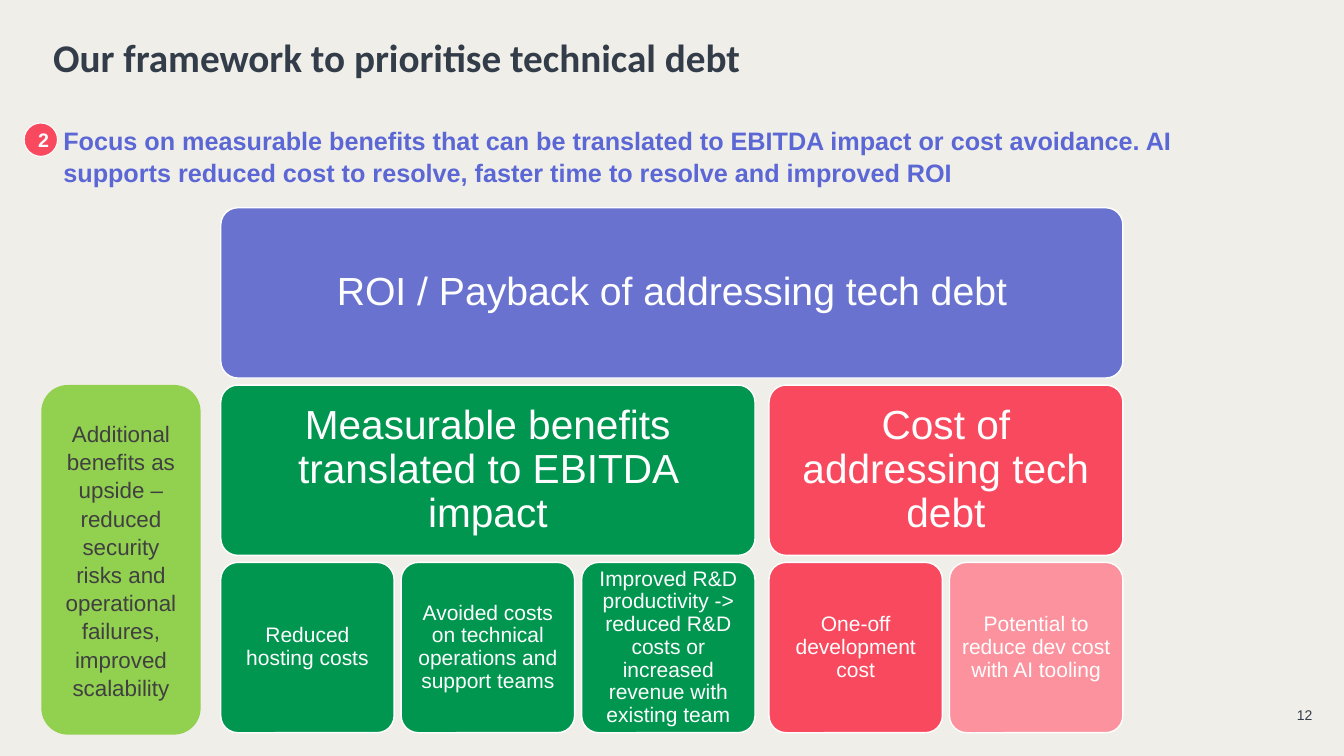
from pptx import Presentation
from pptx.dml.color import RGBColor
from pptx.enum.shapes import MSO_SHAPE
from pptx.enum.text import MSO_ANCHOR, PP_ALIGN
from pptx.util import Pt

ROUNDED, OVAL = MSO_SHAPE.ROUNDED_RECTANGLE, MSO_SHAPE.OVAL
TOP, MIDDLE, BOTTOM = MSO_ANCHOR.TOP, MSO_ANCHOR.MIDDLE, MSO_ANCHOR.BOTTOM
LEFT, CENTER, RIGHT = PP_ALIGN.LEFT, PP_ALIGN.CENTER, PP_ALIGN.RIGHT

COLORS = {
    "background": "F0EEE8", "ink": "333D49", "white": "FEFEFE",
    "violet": "6973CF", "message": "5B67D5", "green": "009650",
    "red": "F8495E", "pink": "FB929E", "lime": "92D050", "grey": "404040",
}

TITLE = "Our framework to prioritise technical debt"
MESSAGE = ("Focus on measurable benefits that can be translated to EBITDA impact or cost "
           "avoidance. AI supports reduced cost to resolve, faster time to resolve and "
           "improved ROI")
UPSIDE = ("Additional benefits as upside – reduced security risks and operational "
          "failures, improved scalability")
ROOT = "ROI / Payback of addressing tech debt"
# Each branch: text, colour, leaves of (text, colour)
BRANCHES = [
    ("Measurable benefits translated to EBITDA impact", "green", [
        ("Reduced hosting costs", "green"),
        ("Avoided costs on technical operations and support teams", "green"),
        ("Improved R&D productivity -> reduced R&D costs or increased revenue "
         "with existing team", "green"),
    ]),
    ("Cost of addressing tech debt", "red", [
        ("One-off development cost", "red"),
        ("Potential to reduce dev cost with AI tooling", "pink"),
    ]),
]


def color(name):
    return RGBColor.from_string(COLORS[name])


def write(shape, text, size, ink, align=CENTER, anchor=MIDDLE, bold=False,
          font="Arial", spacing=1.0, margins=(7.2, 3.6, 7.2, 3.6), wrap=True):
    frame = shape.text_frame
    frame.word_wrap = wrap
    frame.vertical_anchor = anchor
    (frame.margin_left, frame.margin_top,
     frame.margin_right, frame.margin_bottom) = map(Pt, margins)
    paragraph = frame.paragraphs[0]
    paragraph.alignment = align
    paragraph.line_spacing = spacing
    paragraph.space_before = Pt(0)
    run = paragraph.add_run()
    run.text = text
    run.font.name = font
    run.font.size = Pt(size)
    run.font.bold = bold
    run.font.color.rgb = color(ink)


def add_filled(slide, kind, box, fill, line_width=0):
    shape = slide.shapes.add_shape(kind, *map(Pt, box))
    shape.shadow.inherit = False
    shape.fill.solid()
    shape.fill.fore_color.rgb = color(fill)
    if line_width:
        shape.line.color.rgb = color("white")
        shape.line.width = Pt(line_width)
    else:
        shape.line.fill.background()
    return shape


def add_title(slide, box):
    title = slide.shapes.title
    title.left, title.top, title.width, title.height = map(Pt, box)
    write(title, TITLE, 28, "ink", LEFT, bold=True, font="Calibri",
          spacing=1.05, margins=(0, 0, 0, 0))


def add_message(slide, box):
    left, top, width, height = box
    badge_size = 23.8
    badge = add_filled(slide, OVAL, (left, top + 2.9, badge_size, badge_size), "red", 0.75)
    write(badge, "2", 14, "white", bold=True, margins=(4, 0, 0, 0), wrap=False)
    indent = 20.9
    message = slide.shapes.add_textbox(
        *map(Pt, (left + indent, top, width - indent, height)))
    write(message, MESSAGE, 18, "message", LEFT, TOP, bold=True, spacing=1.05)


def add_node(slide, box, text, fill, size, margin):
    node = add_filled(slide, ROUNDED, box, fill, 1)
    node.adjustments[0] = 0.1
    write(node, text, size, "white", spacing=0.9, margins=(margin,) * 4)


def add_tree(slide, box):
    left, top, width, height = box
    gap, branch_gap = 5, 10
    row_height = (height - 2 * gap) / 3
    leaf_count = sum(len(leaves) for _, _, leaves in BRANCHES)
    inner_gaps = gap * (leaf_count - len(BRANCHES))
    outer_gaps = branch_gap * (len(BRANCHES) - 1)
    leaf_width = (width - inner_gaps - outer_gaps) / leaf_count
    branch_top = top + row_height + gap
    leaf_top = branch_top + row_height + gap

    add_node(slide, (left, top, width, row_height), ROOT, "violet", 28, 8.6)
    for text, fill, leaves in BRANCHES:
        branch_width = len(leaves) * (leaf_width + gap) - gap
        add_node(slide, (left, branch_top, branch_width, row_height), text, fill, 29, 8.6)
        for index, (leaf_text, leaf_fill) in enumerate(leaves):
            leaf_left = left + index * (leaf_width + gap)
            add_node(slide, (leaf_left, leaf_top, leaf_width, row_height),
                     leaf_text, leaf_fill, 15, 4.3)
        left += branch_width + branch_gap


def add_upside(slide, box):
    upside = add_filled(slide, ROUNDED, box, "lime")
    write(upside, UPSIDE, 16, "grey", spacing=1.05)


def add_page_number(slide, box):
    number = slide.shapes.add_textbox(*map(Pt, box))
    write(number, "12", 10, "ink", RIGHT, BOTTOM, margins=(0, 0, 0, 0))


def main():
    presentation = Presentation()
    presentation.slide_width, presentation.slide_height = Pt(960), Pt(540)
    slide = presentation.slides.add_slide(presentation.slide_layouts[5])
    slide.background.fill.solid()
    slide.background.fill.fore_color.rgb = color("background")

    add_title(slide, (38, 0.7, 850, 77.8))
    add_message(slide, (17.3, 85, 890, 51))
    add_tree(slide, (157.7, 148.4, 644.4, 375))
    add_upside(slide, (29.5, 275, 113.8, 249.8))
    add_page_number(slide, (910.8, 500.4, 26.6, 16.6))
    presentation.save("out.pptx")


if __name__ == "__main__":
    main()
